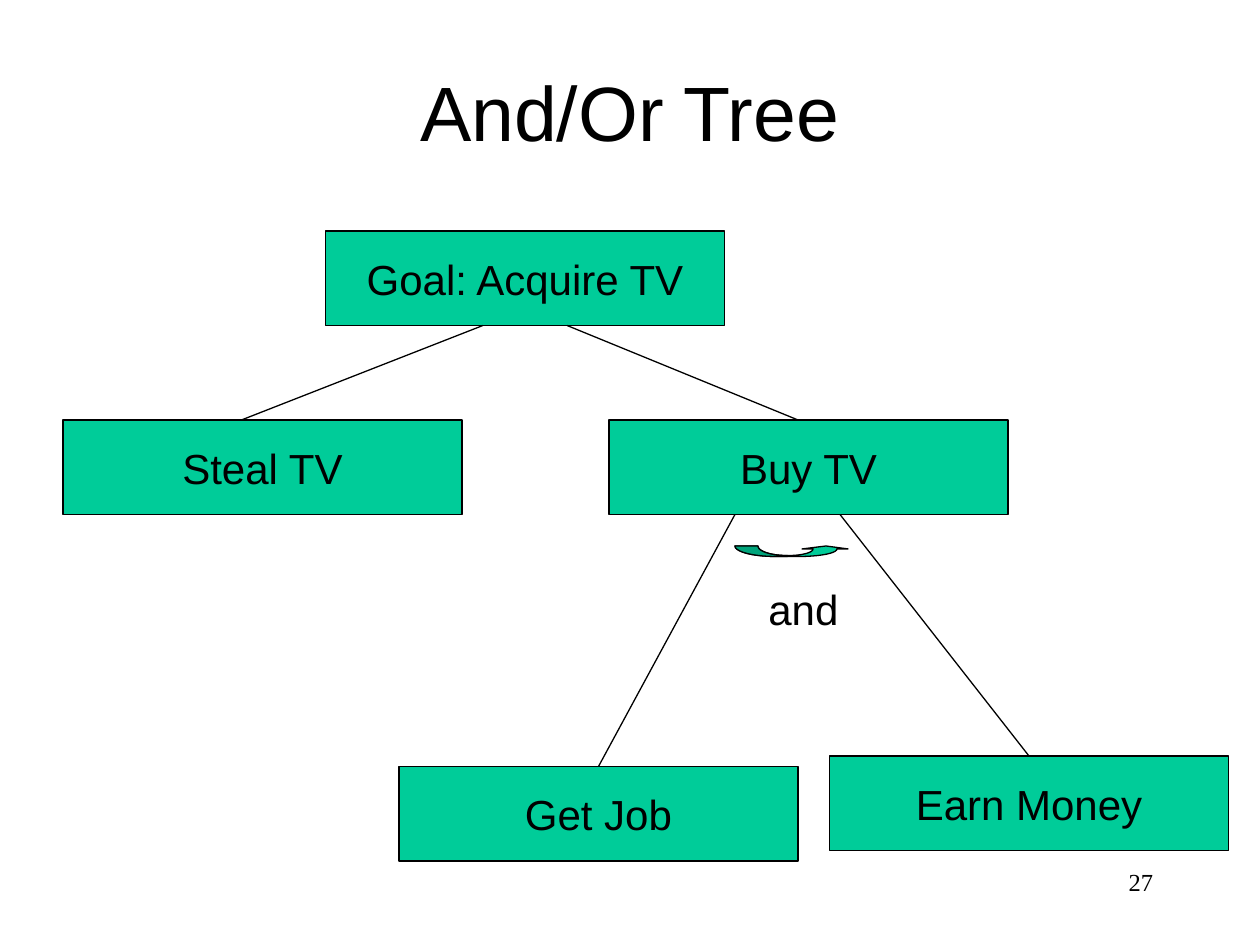
from math import cos, pi, sin

from lxml import etree
from pptx import Presentation
from pptx.dml.color import RGBColor
from pptx.enum.shapes import MSO_CONNECTOR, MSO_SHAPE
from pptx.enum.text import MSO_ANCHOR, PP_ALIGN
from pptx.oxml.ns import qn
from pptx.util import Pt

BLACK = RGBColor(0x00, 0x00, 0x00)
GREEN = RGBColor(0x00, 0xCC, 0x99)
DARK_GREEN = RGBColor(0x00, 0xA4, 0x7B)

STRAIGHT = MSO_CONNECTOR.STRAIGHT
RECTANGLE = MSO_SHAPE.RECTANGLE
TOP, MIDDLE = MSO_ANCHOR.TOP, MSO_ANCHOR.MIDDLE
LEFT, CENTER, RIGHT = PP_ALIGN.LEFT, PP_ALIGN.CENTER, PP_ALIGN.RIGHT

LINE_WIDTH = 0.75
NODE_WIDTH, NODE_HEIGHT = 228, 54
NODES = [
    ("Goal: Acquire TV", 186, 132),
    ("Buy TV", 348, 240),
    ("Earn Money", 474, 432),
    ("Steal TV", 36, 240),
    ("Get Job", 228, 438),
]
BRANCHES = [
    (138, 240, 276, 186),
    (324, 186, 456, 240),
    (420, 294, 342, 438),
    (480, 294, 588, 432),
]


def write_text(shape, text, size, font="Arial", align=LEFT, anchor=TOP, wrap=True):
    frame = shape.text_frame
    frame.word_wrap = wrap
    frame.vertical_anchor = anchor
    para = frame.paragraphs[0]
    para.alignment = align
    span = para.add_run()
    span.text = text
    span.font.name = font
    span.font.size = Pt(size)
    span.font.color.rgb = BLACK


def add_text(slide, text, left, top, width, height, size, **style):
    box = slide.shapes.add_textbox(Pt(left), Pt(top), Pt(width), Pt(height))
    write_text(box, text, size, **style)


def paint(shape, color):
    shape.shadow.inherit = False
    shape.fill.solid()
    shape.fill.fore_color.rgb = color
    shape.line.color.rgb = BLACK
    shape.line.width = Pt(LINE_WIDTH)


def add_node(slide, text, left, top):
    node = slide.shapes.add_shape(
        RECTANGLE, Pt(left), Pt(top), Pt(NODE_WIDTH), Pt(NODE_HEIGHT))
    paint(node, GREEN)
    write_text(node, text, 24, align=CENTER, anchor=MIDDLE, wrap=False)


def add_branch(slide, *ends):
    branch = slide.shapes.add_connector(STRAIGHT, *[Pt(end) for end in ends])
    branch.line.color.rgb = BLACK
    branch.line.width = Pt(LINE_WIDTH)
    etree.SubElement(branch._element.spPr, qn("a:effectLst"))


def quarter_arc(side, middle, top, bottom, steps=10):
    """Points of a quarter ellipse from its upper side down to its bottom."""
    angles = [pi / 2 * step / steps for step in range(steps + 1)]
    return [(middle + (side - middle) * cos(angle), top + (bottom - top) * sin(angle))
            for angle in angles]


def add_outline(slide, points, left, top, color):
    corners = [(Pt(left + x), Pt(top + y)) for x, y in points]
    builder = slide.shapes.build_freeform(*corners[0])
    builder.add_line_segments(corners[1:], close=True)
    paint(builder.convert_to_shape(), color)


def add_curved_arrow(slide, left, top):
    outer_tail = quarter_arc(0, 23, 0, 6)
    inner_tail = quarter_arc(13.1, 30, 0, 5.5)[::-1]
    outer_head = quarter_arc(58.3, 37, 1.7, 6)[::-1]
    inner_head = quarter_arc(44.6, 30, 1.7, 5.5)
    tip = [(64.6, 1.7), (52, 0), (38.3, 1.7)]
    body = outer_tail + outer_head + tip + inner_head + inner_tail
    add_outline(slide, body, left, top, GREEN)
    add_outline(slide, outer_tail + [(30, 6)] + inner_tail, left, top, DARK_GREEN)


def main():
    deck = Presentation()
    deck.slide_width, deck.slide_height = Pt(720), Pt(540)
    page = deck.slides.add_slide(deck.slide_layouts[6])
    add_text(page, "And/Or Tree", 54, 18, 612, 90, 44, align=CENTER, anchor=MIDDLE)
    for node in NODES:
        add_node(page, *node)
    for branch in BRANCHES:
        add_branch(page, *branch)
    add_curved_arrow(page, 420, 312)
    add_text(page, "and", 432, 330, 60, 36, 24)
    add_text(page, "27", 516, 492, 150, 36, 14, font="Times New Roman", align=RIGHT)
    deck.save("out.pptx")


if __name__ == "__main__":
    main()
